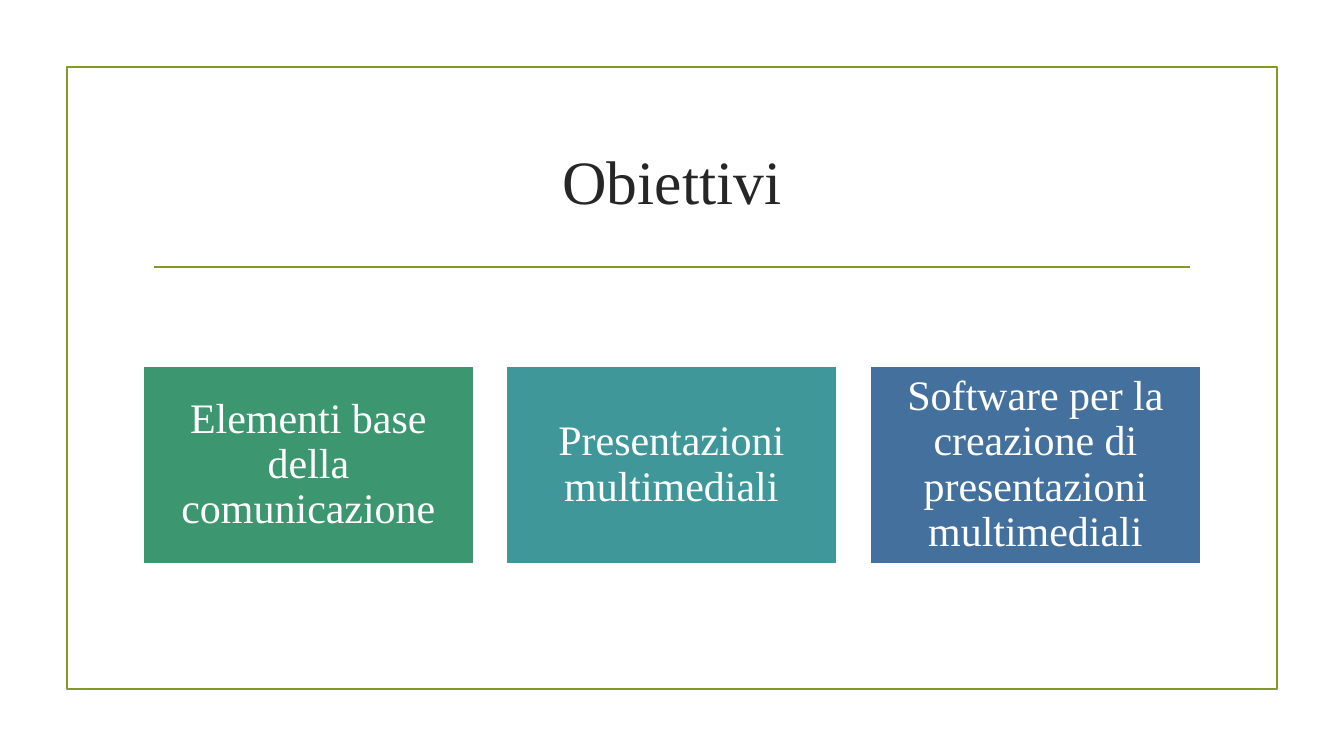
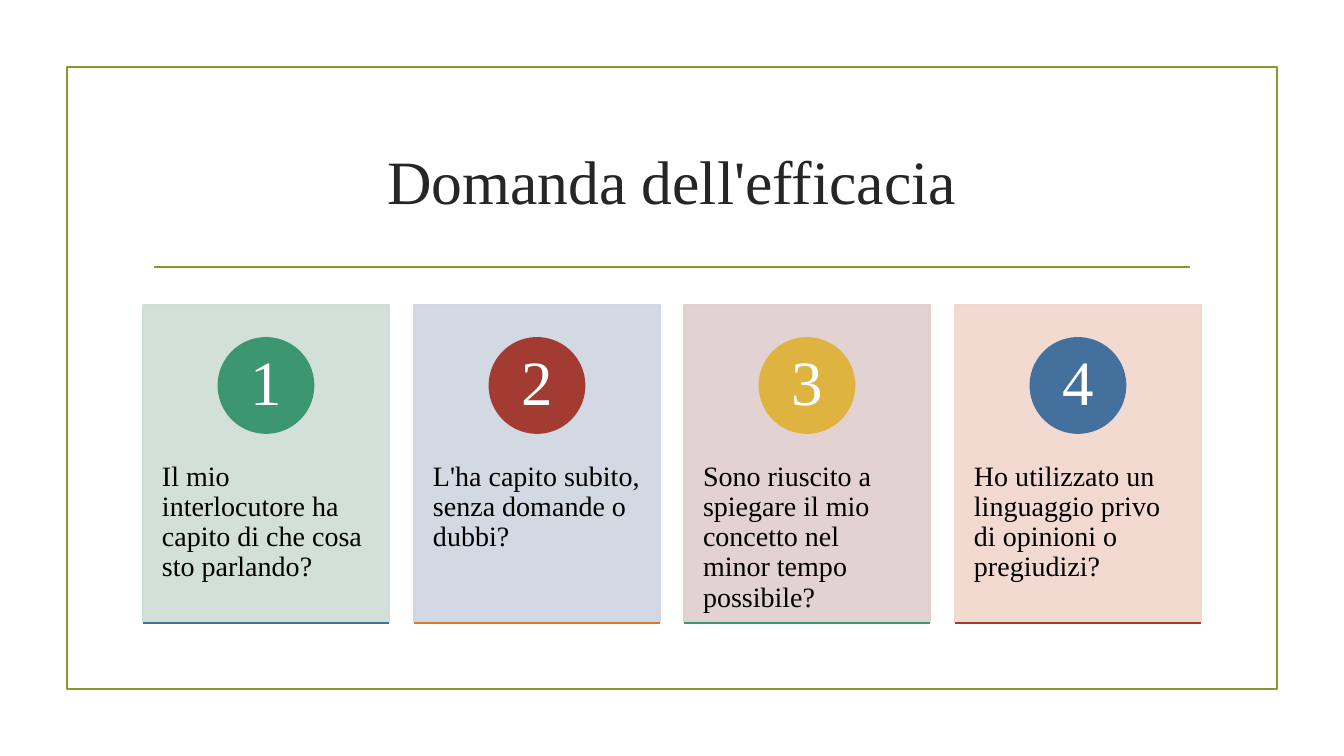
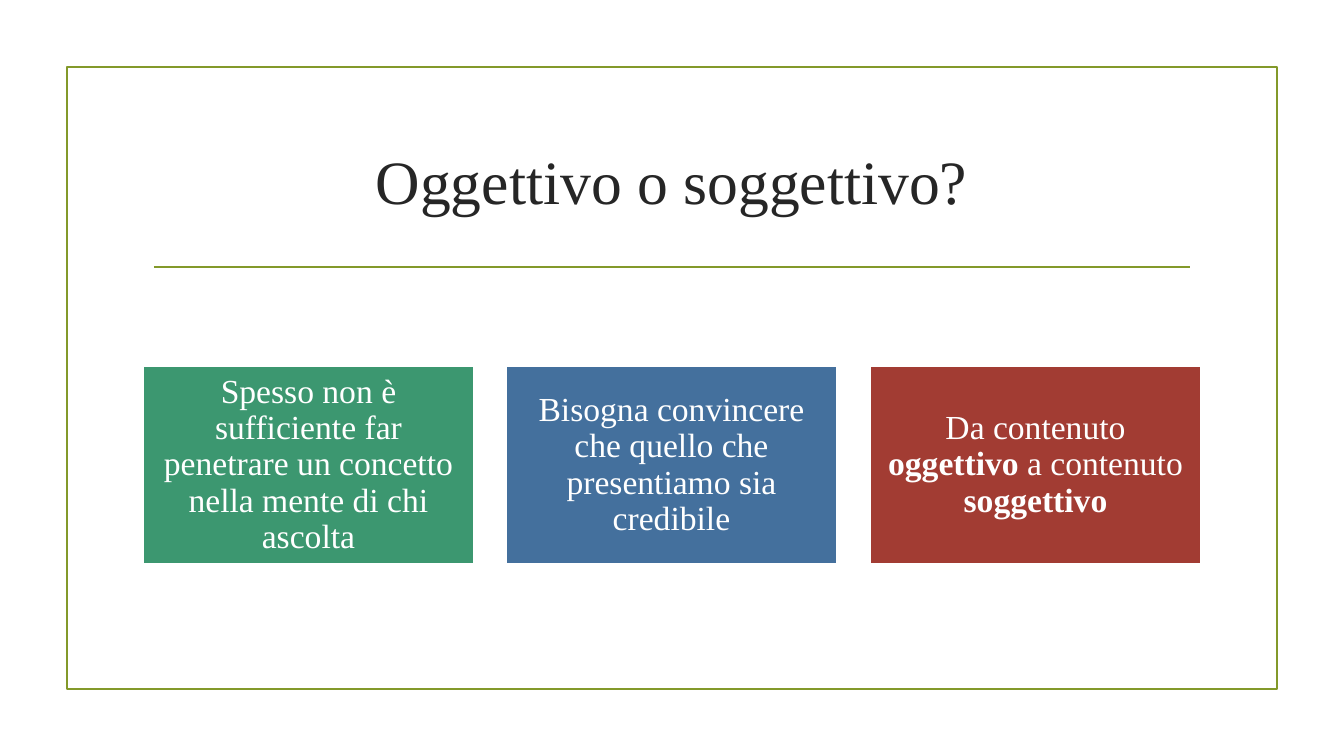
"""Build three slides on effective communication: goals, questions and persuasion."""
from lxml.etree import SubElement
from pptx import Presentation
from pptx.dml.color import RGBColor
from pptx.enum.shapes import MSO_CONNECTOR, MSO_SHAPE
from pptx.enum.text import MSO_ANCHOR, PP_ALIGN
from pptx.oxml.ns import qn
from pptx.util import Pt

PX = 914400 / 100.8
FONT = "Times New Roman"
HEX = {
    "olive": "83992A", "ink": "262626", "black": "000000", "white": "FFFFFF",
    "green": "3C9770", "teal": "40979A", "blue": "44709D", "red": "A23C33",
    "gold": "DEB340", "orange": "D97828",
    "mint": "CEDDD5", "mist": "CFD5DF", "rose": "E0CECE", "peach": "F1D6CD",
}
RGB = {name: RGBColor.from_string(code) for name, code in HEX.items()}
LEFT, WIDTH = 143, 1058

GOALS = [
    ("green", "Elementi base della comunicazione"),
    ("teal", "Presentazioni multimediali"),
    ("blue", "Software per la creazione di presentazioni multimediali"),
]
ASKS = [
    ("mint", "green", "blue", "Il mio interlocutore ha capito di che cosa sto parlando?"),
    ("mist", "red", "orange", "L'ha capito subito, senza domande o dubbi?"),
    ("rose", "gold", "green", "Sono riuscito a spiegare il mio concetto nel minor tempo possibile?"),
    ("peach", "blue", "red", "Ho utilizzato un linguaggio privo di opinioni o pregiudizi?"),
]
VIEWS = [
    ("green", "Spesso non è sufficiente far penetrare un concetto nella mente di chi ascolta"),
    ("blue", "Bisogna convincere che quello che presentiamo sia credibile"),
    ("red", "Da contenuto *oggettivo* a contenuto *soggettivo*"),
]


def draw(slide, kind, box, fill=None, line=None):
    """Add a shape or, with kind LINE, a straight line from corner to corner."""
    left, top, wide, high = [round(n * PX) for n in box]
    if kind == "LINE":
        item = slide.shapes.add_connector(
            MSO_CONNECTOR.STRAIGHT, left, top, left + wide, top + high)
        SubElement(item.line._get_or_add_ln().getparent(), qn("a:effectLst"))
    else:
        item = slide.shapes.add_shape(MSO_SHAPE[kind], left, top, wide, high)
        item.shadow.inherit = False
        if fill:
            item.fill.solid()
            item.fill.fore_color.rgb = RGB[fill]
        else:
            item.fill.background()
    item.line.color.rgb = RGB[line or fill]
    item.line.width = Pt(1.25)
    return item


def write(shape, text, size, color, pads, align=PP_ALIGN.CENTER, space=0.9):
    """Fill a shape with one paragraph; words between asterisks are bold."""
    frame = shape.text_frame
    frame.word_wrap = True
    frame.vertical_anchor = MSO_ANCHOR.MIDDLE
    (frame.margin_left, frame.margin_top,
     frame.margin_right, frame.margin_bottom) = [round(n * PX) for n in pads]
    para = frame.paragraphs[0]
    para.alignment = align
    para.line_spacing = space
    para.font.name = FONT
    para.font.size = Pt(size)
    para.font.color.rgb = RGB[color]
    for i, part in enumerate(text.split("*")):
        if part:
            run = para.add_run()
            run.text = part
            if i % 2:
                run.font.bold = True
    return frame


deck = Presentation()
deck.slide_width, deck.slide_height = round(1344 * PX), round(756 * PX)

for title, size, pad, cards in [
    ("Obiettivi", 30, 12, GOALS),
    ("Domanda dell'efficacia", 20, 19, ASKS),
    ("Oggettivo o soggettivo?", 24, 10, VIEWS),
]:
    slide = deck.slides.add_slide(deck.slide_layouts[6])
    draw(slide, "RECTANGLE", (67, 67, 1210, 622), line="olive")
    draw(slide, "LINE", (154, 267, 1036, 0), line="olive")
    head = slide.shapes.add_textbox(*[round(n * PX) for n in (LEFT, 108, WIDTH, 144)])
    write(head, title, 44, "ink", (10, 5, 10, 5), space=1)

    wide = 246 if cards is ASKS else 331
    step = (WIDTH - wide) / (len(cards) - 1)
    for i, card in enumerate(cards):
        left = round(LEFT + i * step)
        if cards is not ASKS:
            fill, text = card
            tile = draw(slide, "RECTANGLE", (left, 366, wide, 198), fill, "white")
            write(tile, text, size, "white", [pad] * 4)
            continue
        fill, dot, base, text = card
        tile = draw(slide, "RECTANGLE", (left, 305, wide, 317), fill)
        for tint in tile._element.spPr.iter(qn("a:srgbClr")):
            SubElement(tint, qn("a:alpha"), val="90000")
        frame = write(tile, text, size, "black", (pad, 157, pad, 0), PP_ALIGN.LEFT)
        frame.vertical_anchor = MSO_ANCHOR.TOP
        disc = draw(slide, "OVAL", (left + (wide - 95) / 2, 338, 95, 95), dot)
        write(disc, str(i + 1), 45, "white", (7, 1, 7, 1))
        draw(slide, "LINE", (left, 623, wide, 0), line=base)

deck.save("out.pptx")
